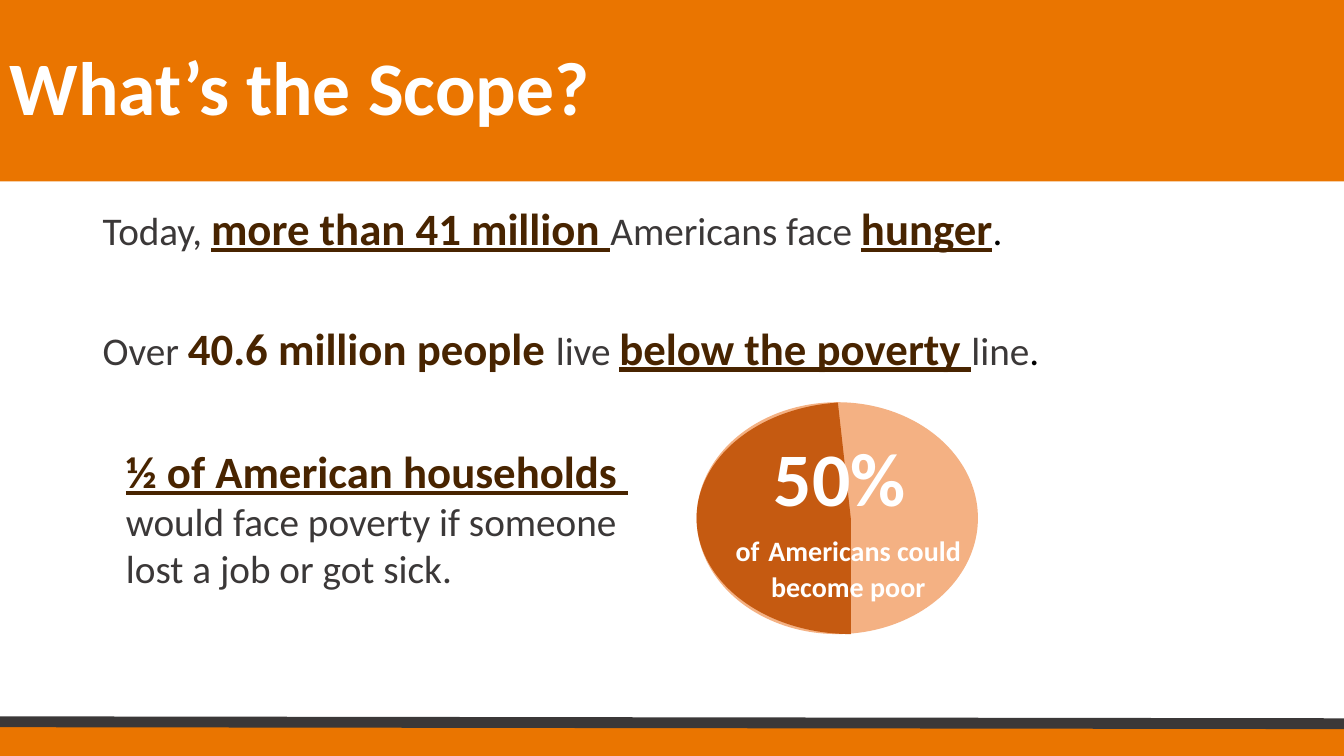
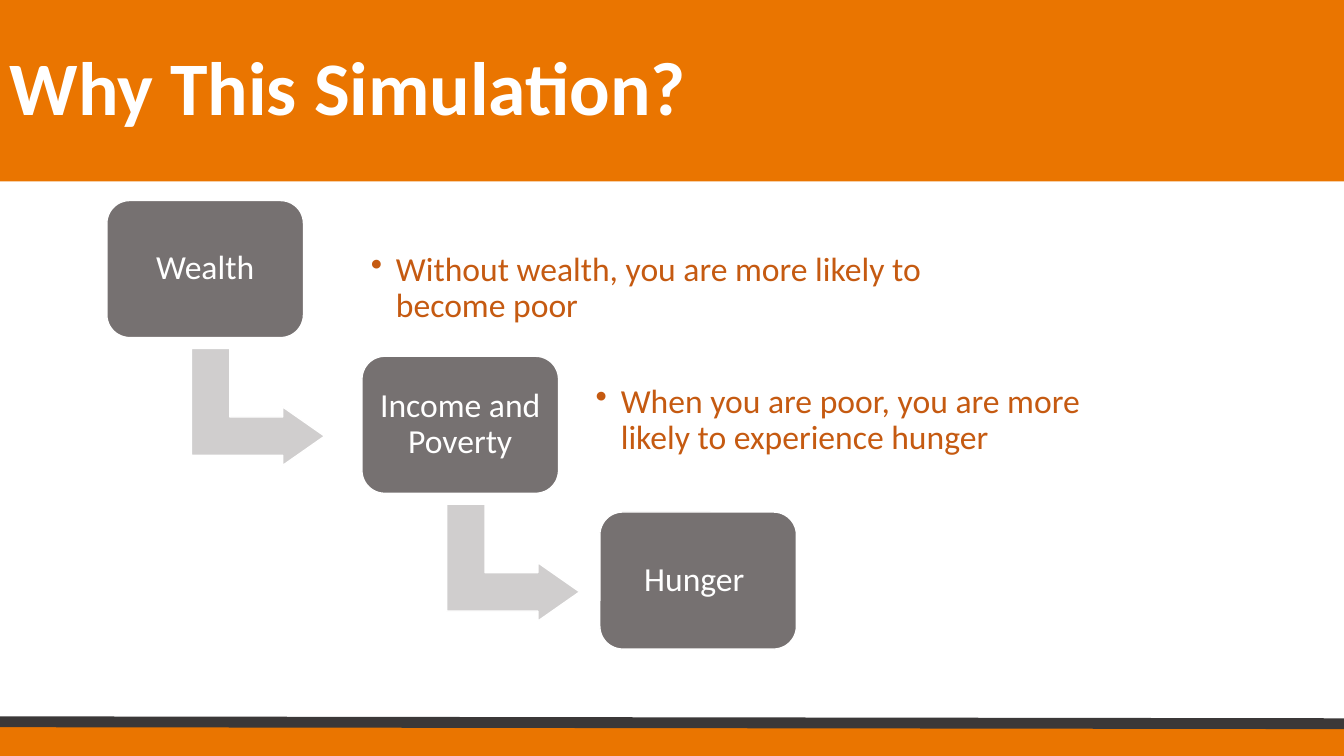
from lxml import etree
from pptx import Presentation
from pptx import util as u
from pptx.dml.color import RGBColor
from pptx.enum import shapes, text
from pptx.oxml.ns import qn

# Palette and type
ORANGE = RGBColor(0xEA, 0x75, 0x00)
RUST = RGBColor(0xC5, 0x5A, 0x11)
PEACH = RGBColor(0xF4, 0xB1, 0x83)
BROWN = RGBColor(0x48, 0x24, 0x00)
CHARCOAL = RGBColor(0x3B, 0x38, 0x38)
GRAY = RGBColor(0x76, 0x71, 0x71)
SILVER = RGBColor(0xD0, 0xCE, 0xCE)
WHITE = RGBColor(0xFF, 0xFF, 0xFF)
BLACK = RGBColor(0x00, 0x00, 0x00)
FONT = "Calibri"

# Run styles: size, colour, bold, underline
TITLE = (54, WHITE, True, False)
PLAIN = (28, CHARCOAL, False, False)
STOP = (28, BLACK, False, False)
STRONG = (32, BROWN, True, False)
KEY = (32, BROWN, True, True)
CAPTION = (20, WHITE, True, False)
CAPTION_GAP = (28, WHITE, True, False)
STEP = (24, WHITE, False, False)
NOTE = (24, RUST, False, False)

CENTER = text.PP_ALIGN.CENTER
MIDDLE = text.MSO_ANCHOR.MIDDLE


class Deck:
    """Holds the style and the current slide; lengths are percent of the slide."""

    def __init__(self):
        self.presentation = Presentation()
        self.presentation.slide_width = u.Inches(13.33)
        self.presentation.slide_height = u.Inches(7.5)
        self.slide = None

    def place(self, across, down):
        return (u.Emu(int(self.presentation.slide_width * across / 100)),
                u.Emu(int(self.presentation.slide_height * down / 100)))

    def frame(self, left, top, width, height):
        return self.place(left, top) + self.place(width, height)

    def new_slide(self, title):
        layout = self.presentation.slide_layouts[6]
        self.slide = self.presentation.slides.add_slide(layout)
        # Footer band and rule
        self.shape("RECTANGLE", (0, 95.73, 100, 4.27), ORANGE)
        self.rule((0, 95.47), (100, 95.73), CHARCOAL, 7.75)
        # Title band
        band = self.shape("RECTANGLE", (0, 0, 100, 24), ORANGE)
        self.fill_text(band, [[(title, TITLE)]], spacing=0.9, anchor=MIDDLE)

    def shape(self, kind, box, fill, outline=None, adjustments=()):
        shape = self.slide.shapes.add_shape(
            getattr(shapes.MSO_SHAPE, kind), *self.frame(*box))
        shape.shadow.inherit = False
        shape.fill.solid()
        shape.fill.fore_color.rgb = fill
        if outline is None:
            shape.line.fill.background()
        else:
            shape.line.color.rgb = outline
            shape.line.width = u.Pt(1)
        for index, value in enumerate(adjustments):
            shape.adjustments[index] = value
        return shape

    def rule(self, start, end, color, width):
        line = self.slide.shapes.add_connector(
            shapes.MSO_CONNECTOR.STRAIGHT, *self.place(*start), *self.place(*end))
        line.line.color.rgb = color
        line.line.width = u.Pt(width)
        etree.SubElement(line._element.spPr, qn("a:effectLst"))

    def text_box(self, box, paragraphs, **options):
        shape = self.slide.shapes.add_textbox(*self.frame(*box))
        self.fill_text(shape, paragraphs, **options)
        return shape

    def fill_text(self, shape, paragraphs, align=text.PP_ALIGN.LEFT, spacing=1.0,
                  anchor=text.MSO_ANCHOR.TOP, before=(), inset=None):
        frame = shape.text_frame
        frame.word_wrap = True
        frame.vertical_anchor = anchor
        if inset is not None:
            frame.margin_top = frame.margin_bottom = u.Inches(inset)
        frame.text = "\n" * (len(paragraphs) - 1)
        for paragraph, runs in zip(frame.paragraphs, paragraphs):
            paragraph.alignment = align
            paragraph.line_spacing = spacing
            for words, (size, color, bold, underline) in runs:
                run = paragraph.add_run()
                run.text = words
                run.font.name = FONT
                run.font.size = u.Pt(size)
                run.font.color.rgb = color
                run.font.bold = bold
                run.font.underline = underline
        for paragraph, points in zip(frame.paragraphs, before):
            paragraph.space_before = u.Pt(points)

    def bullet(self, box, words):
        shape = self.text_box(box, [[(words, NOTE)]], spacing=0.9,
                              anchor=MIDDLE, inset=0.1)
        properties = shape.text_frame.paragraphs[0]._p.get_or_add_pPr()
        indent = u.Inches(0.25)
        properties.set("marL", str(indent))
        properties.set("indent", str(-indent))
        etree.SubElement(properties, qn("a:buChar")).set("char", "•")

    def step(self, left, top, words):
        box = self.shape("ROUNDED_RECTANGLE", (left, top, 14.63, 18.13),
                         GRAY, WHITE, [0.167])
        self.fill_text(box, [[(words, STEP)]], align=CENTER, spacing=0.9,
                       anchor=MIDDLE, inset=0.1)

    def turn_arrow(self, left, top):
        arrow = self.shape("BENT_UP_ARROW", (left, top, 8.7, 17.6),
                           SILVER, WHITE, [0.328, 0.25, 0.358])
        arrow.rotation = 90


deck = Deck()

# Scope: key figures
deck.new_slide("What’s the Scope?")
deck.text_box((6.9, 26.67, 86.25, 28.8), [
    [("Today, ", PLAIN), ("more than 41 million ", KEY),
     ("Americans face ", PLAIN), ("hunger", KEY), (". ", STOP)],
    [("Over ", PLAIN), ("40.6 million people ", STRONG), ("live ", PLAIN),
     ("below the poverty ", KEY), ("line", PLAIN), (".", STOP)],
], spacing=0.9, before=(10, 51))
deck.text_box((8.63, 58, 39.9, 21.07), [
    [("½ of American households ", KEY)],
    [("would face poverty if someone lost a job or got sick.", PLAIN)],
])

# Scope: half-filled disc with its label
deck.shape("OVAL", (51.83, 53.2, 20.93, 30.67), PEACH)
deck.shape("PIE", (51.83, 53.2, 22.95, 30.67), RUST,
           adjustments=[54, 158.18])
deck.text_box((52.5, 56.4, 21.23, 24.27), [
    [("50% ", TITLE)],
    [("of", CAPTION), (" ", CAPTION_GAP),
     ("Americans could become poor", CAPTION)],
], align=CENTER)

# Simulation: descending steps, each with an arrow to the next
deck.new_slide("Why This Simulation?")
STEPS = [(7.95, "Wealth"), (26.93, "Income and Poverty"), (44.63, "Hunger ")]
for index, (left, words) in enumerate(STEPS):
    top = 26.53 + 20.6 * index
    if index < len(STEPS) - 1:
        deck.turn_arrow(left + 6.9, top + 18.5)
    deck.step(left, top, words)

# Simulation: what each step leads to
deck.bullet((26.85, 30.8, 44.33, 14.67),
            "Without wealth, you are more likely to become poor ")
deck.bullet((43.58, 48.27, 37.88, 14.67),
            "When you are poor, you are more likely to experience hunger ")

deck.presentation.save("out.pptx")
